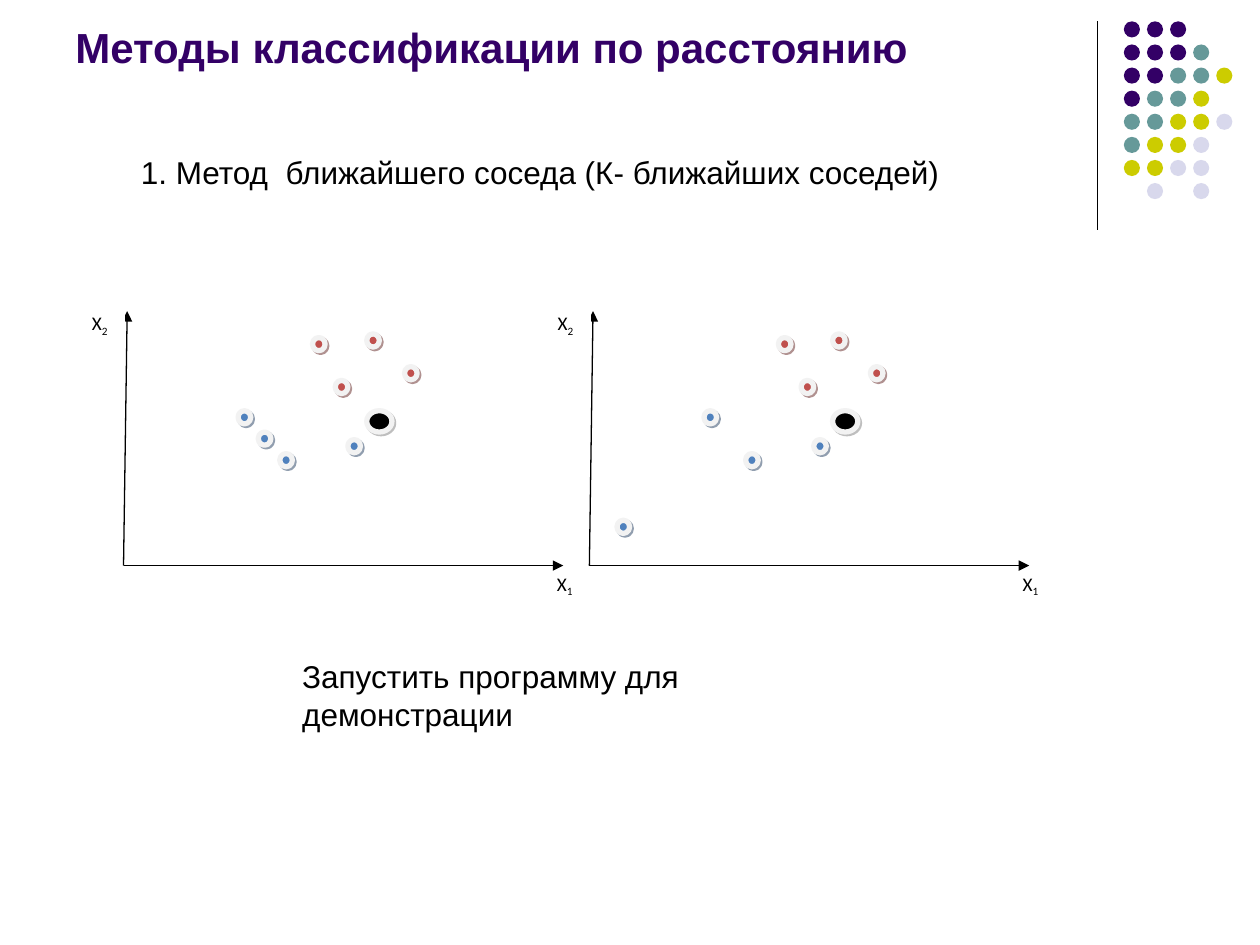
from dataclasses import dataclass

from lxml import etree
from pptx import Presentation
from pptx.dml.color import RGBColor
from pptx.enum import shapes, text
from pptx.oxml import ns
from pptx.util import Pt


@dataclass(frozen=True)
class Theme:
    heading_font: str = "Arial"
    label_font: str = "Calibri"
    title_size: float = 24
    body_size: float = 18
    label_size: float = 11
    ink: str = "000000"
    paper: str = "FFFFFF"
    purple: str = "330066"
    teal: str = "669999"
    olive: str = "CCCC00"
    lilac: str = "D8D8EC"
    ring: str = "F2F2F2"
    red: str = "C0504D"
    red_shadow: str = "622423"
    blue: str = "4F81BD"
    blue_shadow: str = "243F60"
    query_shadow: str = "7F7F7F"


THEME = Theme()

DOT_ROWS = ("PPP", "PPPT", "PPTTO", "PTTO", "TTOOL", "TOOL", "OOLL", " L L")
DOT_COLORS = {"P": THEME.purple, "T": THEME.teal, "O": THEME.olive, "L": THEME.lilac}

# Offsets from the top left corner of a plot
RED_CLASS = [(133.2, 18.7), (146.2, 43.2), (185.8, 35.3), (164.2, 16.6)]
BLUE_CLASS = [(90.7, 60.5), (114.5, 85), (153.4, 77)]
NEAR_BLUE, FAR_BLUE = (102.2, 72.7), (41, 123.1)
QUERY = (164.2, 60.5)


def add_effects(shape):
    """Give a shape an empty effect list, which removes the inherited shadow."""
    properties = shape._element.spPr
    return etree.SubElement(properties, ns.qn("a:effectLst"))


def add_ellipse(slide, left, top, width, height, color):
    ellipse = slide.shapes.add_shape(
        shapes.MSO_SHAPE.OVAL, Pt(left), Pt(top), Pt(width), Pt(height))
    ellipse.fill.solid()
    ellipse.fill.fore_color.rgb = RGBColor.from_string(color)
    ellipse.line.fill.background()
    return ellipse


def add_line(slide, start, end, arrow=False):
    line = slide.shapes.add_connector(
        shapes.MSO_CONNECTOR.STRAIGHT, *(Pt(v) for v in (*start, *end)))
    line.line.color.rgb = RGBColor.from_string(THEME.ink)
    line.line.width = Pt(0.75)
    if arrow:
        etree.SubElement(line.line._get_or_add_ln(), ns.qn("a:tailEnd"), type="triangle")
    add_effects(line)


def add_text(slide, box, runs, font, size, color=THEME.ink, bold=False,
             wrap=True, anchor=text.MSO_ANCHOR.TOP):
    """Add one paragraph; runs are (words, is_subscript) pairs."""
    holder = slide.shapes.add_textbox(*(Pt(v) for v in box))
    frame = holder.text_frame
    frame.word_wrap = wrap
    frame.vertical_anchor = anchor
    for words, is_subscript in runs:
        run = frame.paragraphs[0].add_run()
        run.text = words
        run.font.name = font
        run.font.size = Pt(size)
        run.font.bold = bold
        run.font.color.rgb = RGBColor.from_string(color)
        if is_subscript:
            run.font._element.set("baseline", "-25000")
    return holder


def add_dot_ornament(slide, left, top, pitch=13.2, size=9.2):
    add_line(slide, (left - 15, top), (left - 15, top + 119.5))
    for row, codes in enumerate(DOT_ROWS):
        for column, code in enumerate(codes):
            if code in DOT_COLORS:
                dot = add_ellipse(slide, left + column * pitch, top + row * pitch,
                                  size, size, DOT_COLORS[code])
                dot.shadow.inherit = False


def add_point(slide, left, top, color, shadow_color, width=7.2, height=7.5):
    """Add a ringed data point with a hard shadow to the lower right."""
    point = add_ellipse(slide, left, top, width, height, color)
    point.line.color.rgb = RGBColor.from_string(THEME.ring)
    point.line.width = Pt(3)
    shadow = etree.SubElement(
        add_effects(point), ns.qn("a:outerShdw"), blurRad="0", dist=str(Pt(1.4)),
        dir=str(45 * 60000), algn="ctr", rotWithShape="0")
    tint = etree.SubElement(shadow, ns.qn("a:srgbClr"), val=shadow_color)
    etree.SubElement(tint, ns.qn("a:alpha"), val="50000")


def add_axis_label(slide, left, top, index):
    label = add_text(slide, (left, top, 26, 24.5), [("X", False), (index, True)],
                     THEME.label_font, THEME.label_size)
    label.text_frame.paragraphs[0].space_after = Pt(10)
    return label


def add_scatter_plot(slide, left, top, extra_blue):
    origin = (left + 25.2, top + 149)
    add_line(slide, origin, (left + 27.3, top + 3.6), arrow=True)
    add_line(slide, origin, (left + 276.5, top + 149), arrow=True)
    add_axis_label(slide, left + 265.7, top + 149, "1")
    vertical_label = add_axis_label(slide, left, top, "2")
    vertical_label.fill.solid()
    vertical_label.fill.fore_color.rgb = RGBColor.from_string(THEME.paper)

    for x, y in RED_CLASS:
        add_point(slide, left + x, top + y, THEME.red, THEME.red_shadow)
    for x, y in BLUE_CLASS + [extra_blue]:
        add_point(slide, left + x, top + y, THEME.blue, THEME.blue_shadow)
    add_point(slide, left + QUERY[0], top + QUERY[1], THEME.ink,
              THEME.query_shadow, 14.4, 12.2)


def add_headings(slide):
    add_text(slide, (36, 9.4, 594, 35.3),
             [("Методы классификации по расстоянию", False)],
             THEME.heading_font, THEME.title_size, THEME.purple, bold=True,
             anchor=text.MSO_ANCHOR.BOTTOM)
    add_text(slide, (73.4, 84.2, 472.3, 50.4),
             [("1. Метод  ближайшего соседа (К- ближайших соседей)", False)],
             THEME.heading_font, THEME.body_size)


def main():
    deck = Presentation()
    deck.slide_width, deck.slide_height = Pt(720), Pt(540)
    slide = deck.slides.add_slide(deck.slide_layouts[6])
    add_dot_ornament(slide, 642.2, 12.2)
    add_headings(slide)
    for column, extra_blue in enumerate((NEAR_BLUE, FAR_BLUE)):
        add_scatter_plot(slide, 45.4 + column * 266.2, 174.2, extra_blue)
    add_text(slide, (165.6, 372.2, 355, 28.8),
             [("Запустить программу для демонстрации", False)],
             THEME.heading_font, THEME.body_size, wrap=False)
    deck.save("out.pptx")


if __name__ == "__main__":
    main()
